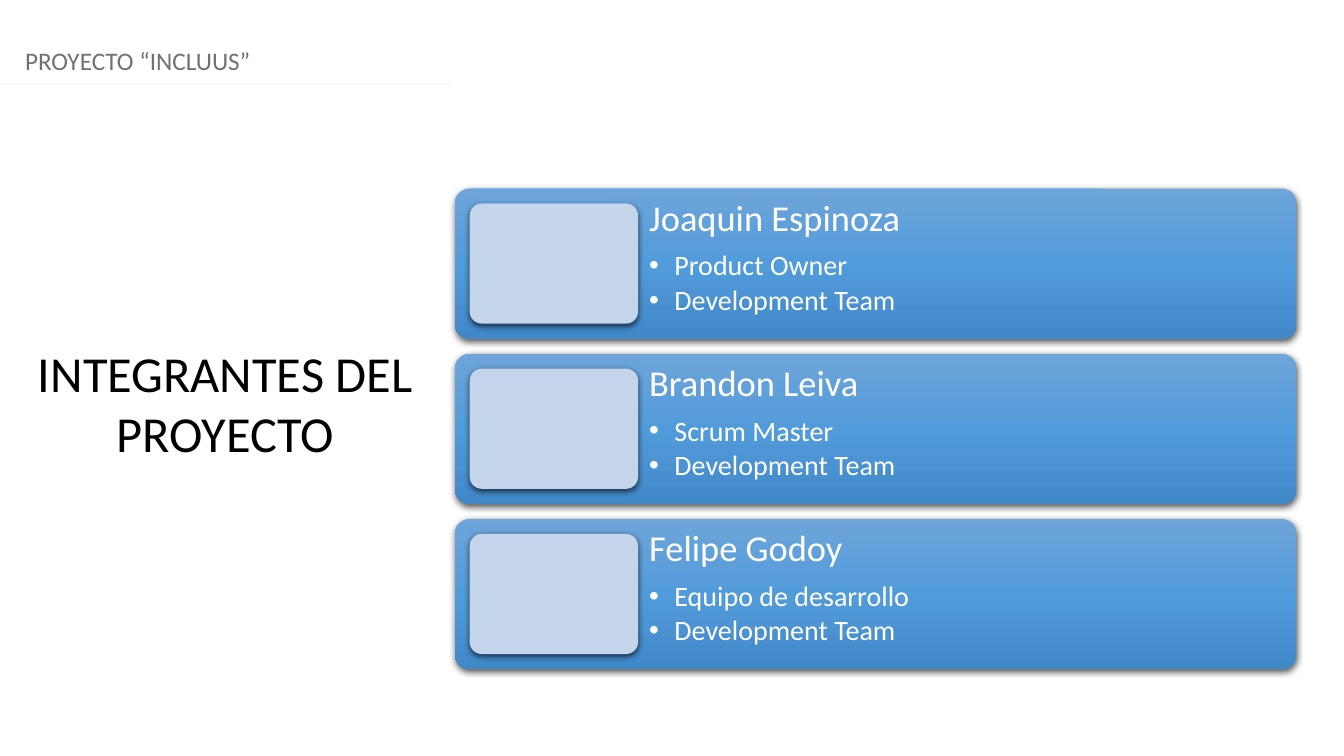
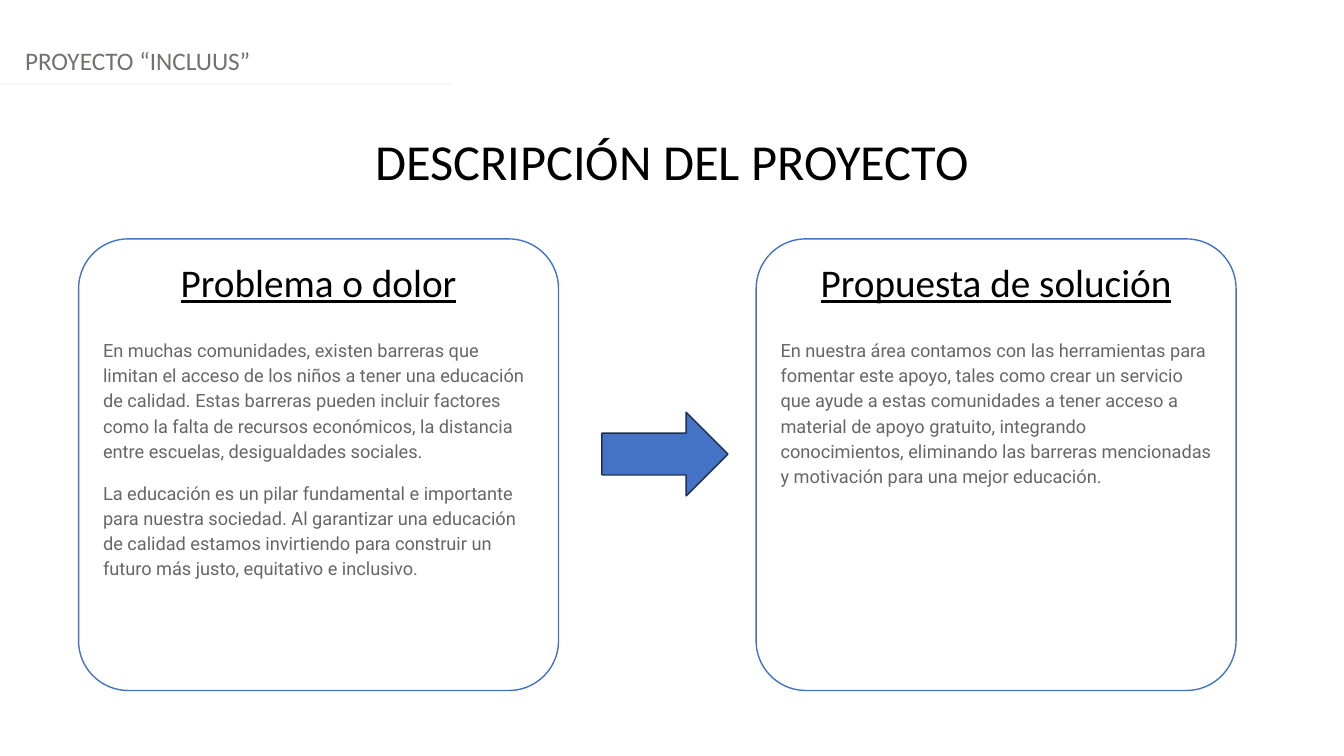
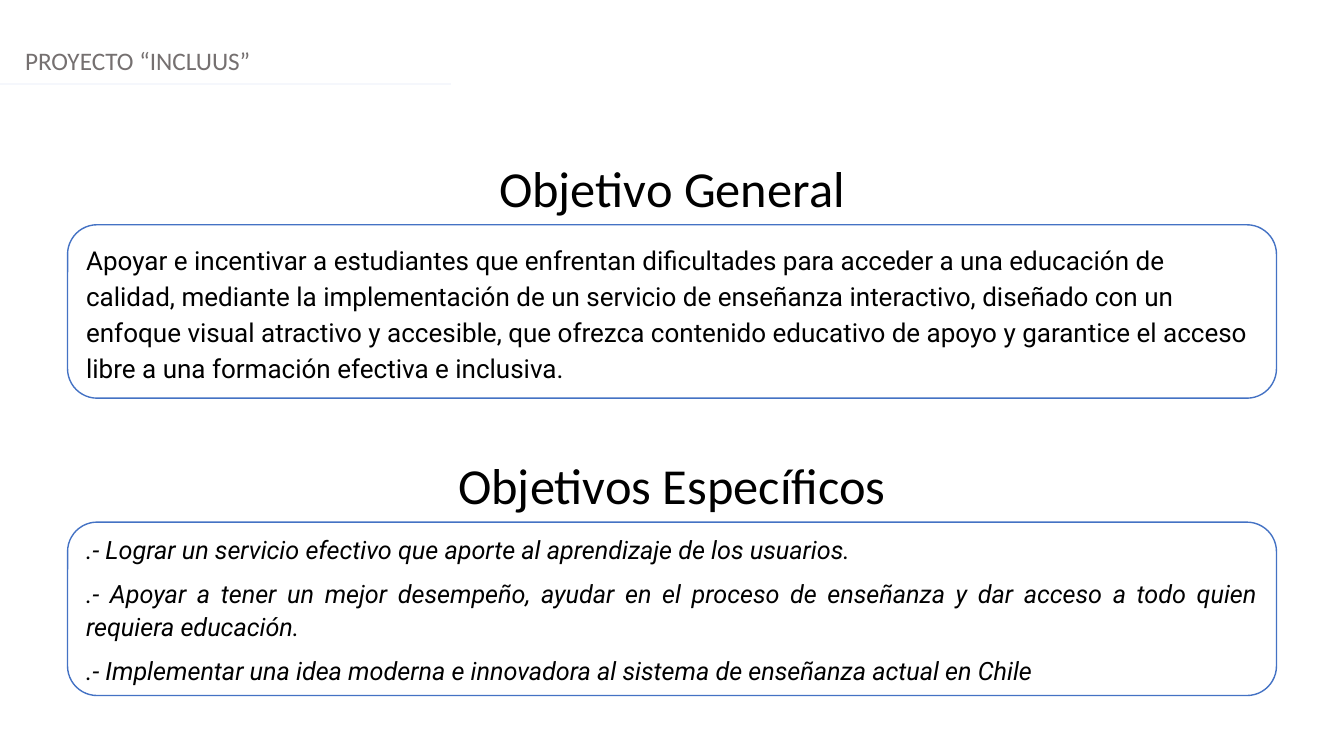
from copy import deepcopy
from dataclasses import dataclass

from lxml.etree import SubElement
from pptx import Presentation
from pptx.dml.color import RGBColor
from pptx.enum.shapes import MSO_CONNECTOR, MSO_SHAPE
from pptx.enum.text import MSO_ANCHOR as Anchor, MSO_AUTO_SIZE as AutoSize, PP_ALIGN as Align
from pptx.oxml.ns import qn
from pptx.shapes.autoshape import Shape
from pptx.slide import Slide
from pptx.text.text import TextFrame
from pptx.util import Inches, Pt

BLACK = RGBColor(0x00, 0x00, 0x00)
WHITE = RGBColor(0xFF, 0xFF, 0xFF)
HEADER_GRAY = RGBColor(0x75, 0x70, 0x70)
BODY_GRAY = RGBColor(0x66, 0x66, 0x66)
RULE_TINT = RGBColor(0xF5, 0xF7, 0xFC)
BLUE = RGBColor(0x44, 0x72, 0xC4)
NAVY = RGBColor(0x1C, 0x30, 0x52)
PHOTO_BLUE = RGBColor(0xC3, 0xD4, 0xEB)
CARD_GRADIENT = (
    (0, RGBColor(0x6E, 0xA5, 0xDA)),
    (0.5, RGBColor(0x52, 0x9B, 0xDA)),
    (1, RGBColor(0x41, 0x88, 0xC8)),
)

SLIDE_WIDTH = 13.33
SLIDE_HEIGHT = 7.5
TITLE_ONLY_LAYOUT = 5


@dataclass(frozen=True)
class Box:
    """Left, top, width and height in inches."""
    left: float
    top: float
    width: float
    height: float

    def lengths(self) -> tuple[Inches, Inches, Inches, Inches]:
        return Inches(self.left), Inches(self.top), Inches(self.width), Inches(self.height)


@dataclass(frozen=True)
class Style:
    size: float
    color: RGBColor
    font: str = "Calibri"
    align: Align = Align.LEFT
    spacing: float = 1.0
    italic: bool = False
    underline: bool = False
    bullet: bool = False


@dataclass(frozen=True)
class Para:
    text: str
    style: Style
    before: float = 0
    after: float = 0


@dataclass(frozen=True)
class Member:
    name: str
    roles: tuple[str, ...]


@dataclass(frozen=True)
class Panel:
    box: Box
    corner: float
    paras: tuple[Para, ...]
    anchor: Anchor = Anchor.TOP


HEADER = Style(18, HEADER_GRAY)
HEADING = Style(36, BLACK, align=Align.CENTER)
MEMBER_NAME = Style(26, WHITE, spacing=0.9)
MEMBER_ROLE = Style(20, WHITE, spacing=0.9, bullet=True)
PANEL_HEADING = Style(28, BLACK, align=Align.CENTER, underline=True)
PANEL_BODY = Style(13, BODY_GRAY, "Roboto", spacing=1.15)
GENERAL_GOAL = Style(18.6, BLACK, "Roboto", spacing=1.15)
SPECIFIC_GOAL = Style(18, BLACK, "Roboto", Align.JUSTIFY, 1.08, italic=True)

MEMBERS = (
    Member("Joaquin Espinoza", ("Product Owner", "Development Team")),
    Member("Brandon Leiva", ("Scrum Master", "Development Team")),
    Member("Felipe Godoy", ("Equipo de desarrollo", "Development Team")),
)

DESCRIPTION_PANELS = (
    Panel(Box(0.78, 2.37, 4.76, 4.48), 0.11, (
        Para("Problema o dolor", PANEL_HEADING),
        Para("En muchas comunidades, existen barreras que limitan el acceso de los niños a "
             "tener una educación de calidad. Estas barreras pueden incluir factores como la "
             "falta de recursos económicos, la distancia entre escuelas, desigualdades "
             "sociales.", PANEL_BODY, before=22),
        Para("La educación es un pilar fundamental e importante para nuestra sociedad. Al "
             "garantizar una educación de calidad estamos invirtiendo para construir un "
             "futuro más justo, equitativo e inclusivo.", PANEL_BODY, before=12),
    )),
    Panel(Box(7.5, 2.37, 4.76, 4.48), 0.11, (
        Para("Propuesta de solución", PANEL_HEADING),
        Para("En nuestra área contamos con las herramientas para fomentar este apoyo, tales "
             "como crear un servicio que ayude a estas comunidades a tener acceso a material "
             "de apoyo gratuito, integrando conocimientos, eliminando las barreras "
             "mencionadas y motivación para una mejor educación.",
             PANEL_BODY, before=22, after=12),
    )),
)

GOAL_PANELS = (
    Panel(Box(0.67, 2.23, 11.99, 1.72), 0.17, (
        Para("Apoyar e incentivar a estudiantes que enfrentan dificultades para acceder a una "
             "educación de calidad, mediante la implementación de un servicio de enseñanza "
             "interactivo, diseñado con un enfoque visual atractivo y accesible, que ofrezca "
             "contenido educativo de apoyo y garantice el acceso libre a una formación "
             "efectiva e inclusiva.", GENERAL_GOAL, after=12),
    ), Anchor.MIDDLE),
    Panel(Box(0.67, 5.18, 11.99, 1.72), 0.17, (
        Para(".- Lograr un servicio efectivo que aporte al aprendizaje de los usuarios.",
             SPECIFIC_GOAL),
        Para(".- Apoyar a tener un mejor desempeño, ayudar en el proceso de enseñanza y dar "
             "acceso a todo quien requiera educación.", SPECIFIC_GOAL, before=8),
        Para(".- Implementar una idea moderna e innovadora al sistema de enseñanza actual en "
             "Chile", SPECIFIC_GOAL, before=8, after=8),
    ), Anchor.MIDDLE),
)


def write(frame: TextFrame, paras: tuple[Para, ...], anchor: Anchor = Anchor.TOP) -> None:
    frame.word_wrap = True
    frame.vertical_anchor = anchor
    frame.text = "\n".join(para.text for para in paras)
    for paragraph, para in zip(frame.paragraphs, paras):
        style = para.style
        if style.bullet:
            add_bullet(paragraph._p.get_or_add_pPr(), style.color)
        paragraph.alignment = style.align
        paragraph.line_spacing = style.spacing
        paragraph.space_before = Pt(para.before)
        paragraph.space_after = Pt(para.after)
        for run in paragraph.runs:
            run.font.name = style.font
            run.font.size = Pt(style.size)
            run.font.color.rgb = style.color
            run.font.italic = style.italic
            run.font.underline = style.underline


def add_bullet(properties, color: RGBColor) -> None:
    properties.set("marL", str(Inches(0.25)))
    properties.set("indent", str(-Inches(0.25)))
    SubElement(SubElement(properties, qn("a:buClr")), qn("a:srgbClr"), val=str(color))
    SubElement(properties, qn("a:buFont"), typeface="Arial")
    SubElement(properties, qn("a:buChar"), char="•")


def add_text(slide: Slide, box: Box, paras: tuple[Para, ...]) -> TextFrame:
    frame = slide.shapes.add_textbox(*box.lengths()).text_frame
    write(frame, paras)
    return frame


def add_block(slide: Slide, kind: MSO_SHAPE, box: Box, fill: RGBColor,
              line: RGBColor | None = None) -> Shape:
    block = slide.shapes.add_shape(kind, *box.lengths())
    block.shadow.inherit = False
    block.fill.solid()
    block.fill.fore_color.rgb = fill
    if line is None:
        block.line.fill.background()
    else:
        block.line.color.rgb = line
        block.line.width = Pt(1)
    return block


def add_shadow(block: Shape) -> None:
    effects = block._element.spPr.find(qn("a:effectLst"))
    shadow = SubElement(effects, qn("a:outerShdw"), blurRad=str(Pt(4.5)), dist=str(Pt(1.5)),
                        dir="5400000", algn="ctr", rotWithShape="0")
    color = SubElement(shadow, qn("a:srgbClr"), val=str(BLACK))
    SubElement(color, qn("a:alpha"), val="63000")


def add_raised_block(slide: Slide, box: Box, fill: RGBColor) -> Shape:
    block = add_block(slide, MSO_SHAPE.ROUNDED_RECTANGLE, box, fill)
    block.adjustments[0] = 0.1
    add_shadow(block)
    return block


def apply_card_gradient(card: Shape) -> None:
    card.fill.gradient()
    card.fill.gradient_angle = 270
    stops = card._element.spPr.find(".//" + qn("a:gsLst"))
    stops.append(deepcopy(stops[0]))
    for stop, (position, color) in zip(card.fill.gradient_stops, CARD_GRADIENT):
        stop.position = position
        stop.color.rgb = color


def add_member_card(slide: Slide, member: Member, card_box: Box) -> None:
    pad = card_box.height / 10
    photo_width = card_box.width / 5
    text_offset = pad + photo_width
    apply_card_gradient(add_raised_block(slide, card_box, CARD_GRADIENT[0][1]))
    roles = tuple(Para(role, MEMBER_ROLE, before=3 if index else 9.1)
                  for index, role in enumerate(member.roles))
    frame = add_text(slide, Box(card_box.left + text_offset, card_box.top,
                                card_box.width - text_offset, card_box.height),
                     (Para(member.name, MEMBER_NAME), *roles))
    frame.margin_left = frame.margin_right = Inches(0.11)
    frame.margin_top = frame.margin_bottom = Inches(0.11)
    add_raised_block(slide, Box(card_box.left + pad, card_box.top + pad, photo_width,
                                card_box.height - 2 * pad), PHOTO_BLUE)


def add_panel(slide: Slide, panel: Panel) -> None:
    block = add_block(slide, MSO_SHAPE.ROUNDED_RECTANGLE, panel.box, WHITE, BLUE)
    block.adjustments[0] = panel.corner
    write(block.text_frame, panel.paras, panel.anchor)


def add_titled_slide(deck, title: str, title_box: Box) -> Slide:
    """Add a slide with the project header, its rule and the title."""
    slide = deck.slides.add_slide(deck.slide_layouts[TITLE_ONLY_LAYOUT])
    heading = slide.shapes.title
    heading.left, heading.top, heading.width, heading.height = title_box.lengths()
    write(heading.text_frame, (Para(title, HEADING),))
    heading.text_frame.auto_size = AutoSize.SHAPE_TO_FIT_TEXT
    add_text(slide, Box(0.15, 0.4, 13.18, 0.4), (Para("PROYECTO “INCLUUS”", HEADER),))
    rule = slide.shapes.add_connector(MSO_CONNECTOR.STRAIGHT, Inches(0), Inches(0.83),
                                      Inches(4.47), Inches(0.83))
    rule.line.color.rgb = RULE_TINT
    rule.line.width = Pt(1.25)
    SubElement(rule._element.spPr, qn("a:effectLst"))
    return slide


def build_team(deck) -> None:
    slide = add_titled_slide(deck, "INTEGRANTES DEL PROYECTO", Box(0.26, 3.34, 3.95, 1.31))
    card_height = 1.49
    pitch = card_height * 1.1
    for row, member in enumerate(MEMBERS):
        add_member_card(slide, member, Box(4.51, 1.87 + row * pitch, 8.35, card_height))


def build_description(deck) -> None:
    slide = add_titled_slide(deck, "DESCRIPCIÓN DEL PROYECTO", Box(0, 1.24, SLIDE_WIDTH, 0.71))
    for panel in DESCRIPTION_PANELS:
        add_panel(slide, panel)
    add_block(slide, MSO_SHAPE.RIGHT_ARROW, Box(5.97, 4.09, 1.25, 0.83), BLUE, NAVY)


def build_goals(deck) -> None:
    slide = add_titled_slide(deck, "Objetivo General", Box(0, 1.51, SLIDE_WIDTH, 0.71))
    add_text(slide, Box(0, 4.46, SLIDE_WIDTH, 0.71), (Para("Objetivos Específicos", HEADING),))
    for panel in GOAL_PANELS:
        add_panel(slide, panel)


def main() -> None:
    deck = Presentation()
    deck.slide_width = Inches(SLIDE_WIDTH)
    deck.slide_height = Inches(SLIDE_HEIGHT)
    build_team(deck)
    build_description(deck)
    build_goals(deck)
    deck.save("out.pptx")


if __name__ == "__main__":
    main()
